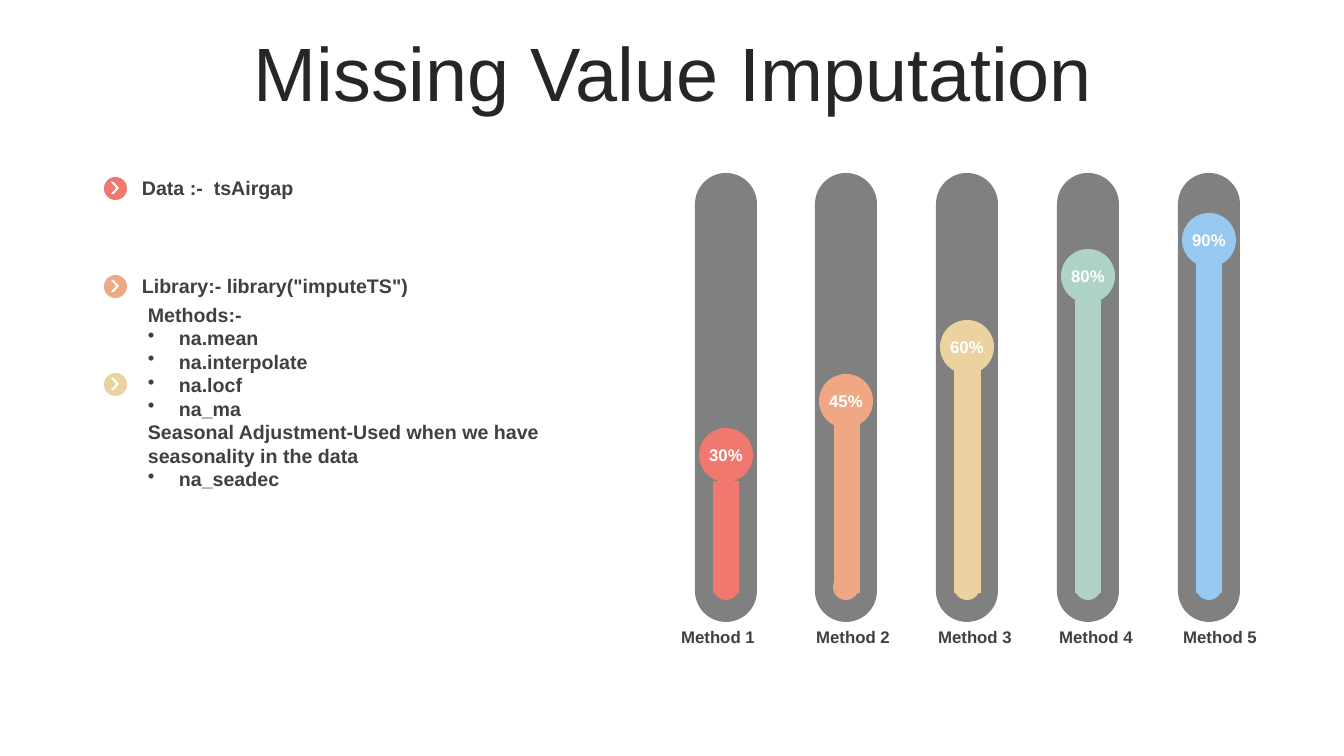
from lxml import etree
from pptx import Presentation
from pptx.chart.data import CategoryChartData
from pptx.dml.color import RGBColor
from pptx.enum.chart import XL_CHART_TYPE
from pptx.enum.shapes import MSO_SHAPE
from pptx.enum.text import MSO_ANCHOR, MSO_AUTO_SIZE, PP_ALIGN
from pptx.oxml import parse_xml
from pptx.oxml.ns import nsdecls, qn
from pptx.util import Pt

ELLIPSE, CHEVRON, ROUNDED = MSO_SHAPE.OVAL, MSO_SHAPE.CHEVRON, MSO_SHAPE.ROUNDED_RECTANGLE
LEFT, CENTER, MIDDLE = PP_ALIGN.LEFT, PP_ALIGN.CENTER, MSO_ANCHOR.MIDDLE
STACKED = XL_CHART_TYPE.COLUMN_STACKED
PX = 914400 / 100.8

THEME = {
    "font": "Arial",
    "title": "262626", "text": "404040", "white": "FFFFFF", "track": "808080",
    "accents": ["F0786E", "F0A884", "EBD2A0", "AFD2C8", "96C8F0"],
    "title_size": 54, "body_size": 14, "label_size": 12, "chart_size": 18,
}


def add_shape(parent, kind, box, color, adj=None):
    sp = parent.shapes.add_shape(kind, *(round(v * PX) for v in box))
    sp.shadow.inherit = False
    sp.fill.solid()
    sp.fill.fore_color.rgb = RGBColor.from_string(color)
    sp.line.fill.background()
    if adj is not None:
        sp.adjustments[0] = adj
    return sp


def write(sp, lines, size, color, align, bold=True):
    tf = sp.text_frame
    tf.word_wrap = True
    tf.auto_size = MSO_AUTO_SIZE.NONE
    tf.vertical_anchor = MIDDLE
    tf.text = "\n".join(lines)
    for p in tf.paragraphs:
        p.alignment = align
        p.font.name = THEME["font"]
        p.font.size = Pt(size)
        p.font.bold = bold
        p.font.color.rgb = RGBColor.from_string(color)
    return tf


prs = Presentation()
prs.slide_width, prs.slide_height = round(1344 * PX), round(756 * PX)
s = prs.slides.add_slide(prs.slide_layouts[5])

# Title
title = s.shapes.title
title.left, title.top, title.width, title.height = (round(v * PX) for v in (35, 37, 1276, 80))
tf = write(title, ["Missing Value Imputation"], THEME["title_size"], THEME["title"], CENTER, False)
tf.paragraphs[0].line_spacing = 0.9

# Tracks behind the columns
centers = [726 + 483 * i // 4 for i in range(5)]
for cx in centers:
    add_shape(s, ROUNDED, (cx - 31, 173, 62, 449), THEME["track"], 0.5)

# Column chart
data = CategoryChartData()
data.categories = ["1", "2", "3", "4", "5"]
data.add_series("Series 1", [33, 50, 67, 89, 100])
frame = s.shapes.add_chart(STACKED, *(round(v * PX) for v in (650, 213, 634, 389)), data)
chart = frame.chart
chart.has_title = chart.has_legend = False
chart.font.name = THEME["font"]
chart.font.size = Pt(THEME["chart_size"])
chart.font.color.rgb = RGBColor(0, 0, 0)
axis = chart.value_axis
axis.minimum_scale, axis.maximum_scale = 0, 110
axis.has_major_gridlines = False
axis.visible = chart.category_axis.visible = False
plot = chart.plots[0]
plot.gap_width, plot.overlap = 360, 100
plot.vary_by_categories = False
for i, color in enumerate(THEME["accents"]):
    fill = plot.series[0].points[i].format.fill
    fill.solid()
    fill.fore_color.rgb = RGBColor.from_string(color)

# Fixed inner plot area, so the columns stand on the tracks
area = chart.element.find(".//" + qn("c:plotArea"))
for old in area.findall(qn("c:layout")):
    area.remove(old)
layout = parse_xml(
    f'<c:layout {nsdecls("c")}><c:manualLayout><c:layoutTarget val="inner"/>'
    '<c:xMode val="edge"/><c:yMode val="edge"/><c:x val="0.025"/><c:y val="0.019"/>'
    '<c:w val="0.952"/><c:h val="0.959"/></c:manualLayout></c:layout>')
area.insert(0, layout)

# Percent bulbs, column feet and method labels
percents = [30, 45, 60, 80, 90]
label_centers = [718, 853, 975, 1096, 1220]
for i, (cx, percent, label_cx, color) in enumerate(
        zip(centers, percents, label_centers, THEME["accents"]), 1):
    top = round(535 - 3.58 * percent)
    add_shape(s, ELLIPSE, (cx - 27, top, 54, 54), color)
    add_shape(s, ELLIPSE, (cx - 13, 574, 26, 26), color)
    for box, text, ink in (((cx - 28, top + 12, 56, 30), f"{percent}%", THEME["white"]),
                           ((label_cx - 53, 622, 106, 30), f"Method {i}", THEME["text"])):
        sp = s.shapes.add_textbox(*(round(v * PX) for v in box))
        write(sp, [text], THEME["label_size"], ink, CENTER)

# Chevron markers
for i, color in enumerate(THEME["accents"][:3]):
    y = 177 + 98 * i
    marker = s.shapes.add_group_shape()
    add_shape(marker, ELLIPSE, (104, y, 23, 23), color)
    add_shape(marker, CHEVRON, (111, y + 5, 8, 12), THEME["white"], 0.652)

# Notes on data, library and methods
notes = [
    ((132, 171, 522, 34), ["Data :-  tsAirgap"]),
    ((132, 269, 522, 34), ['Library:- library("imputeTS")']),
    ((138, 296, 512, 201), [
        "Methods:-", "na.mean", "na.interpolate", "na.locf", "na_ma",
        "Seasonal Adjustment-Used when we have seasonality in the data", "na_seadec"]),
]
for box, lines in notes:
    sp = s.shapes.add_textbox(*(round(v * PX) for v in box))
    tf = write(sp, lines, THEME["body_size"], THEME["text"], LEFT)
    for p in tf.paragraphs:
        if p.text.startswith("na"):
            pPr = p._p.get_or_add_pPr()
            pPr.set("marL", str(round(31 * PX)))
            pPr.set("indent", str(round(-31 * PX)))
            bullet = etree.Element(qn("a:buChar"), char="•")
            pPr.insert_element_before(bullet, "a:tabLst", "a:defRPr", "a:extLst")

prs.save("out.pptx")
